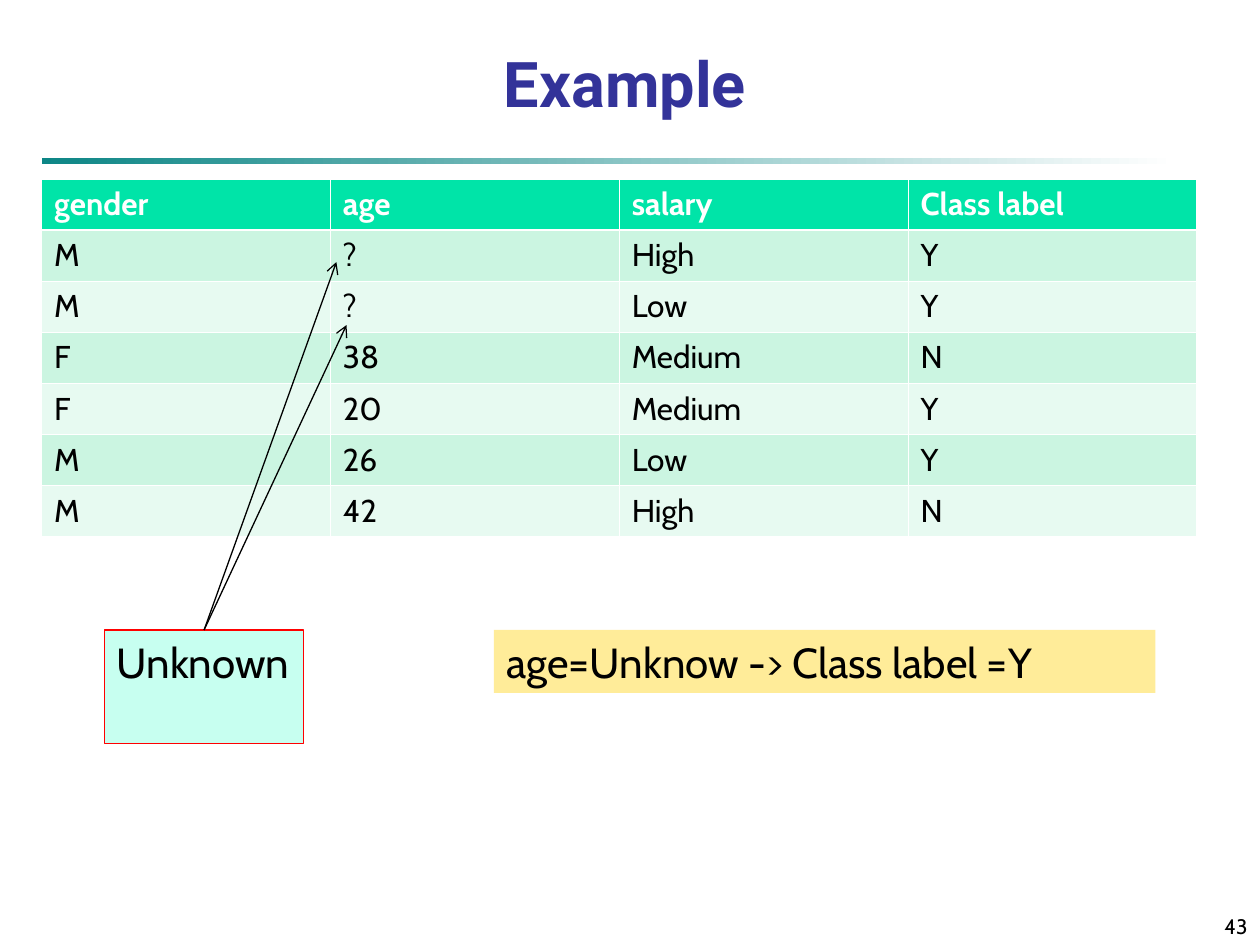
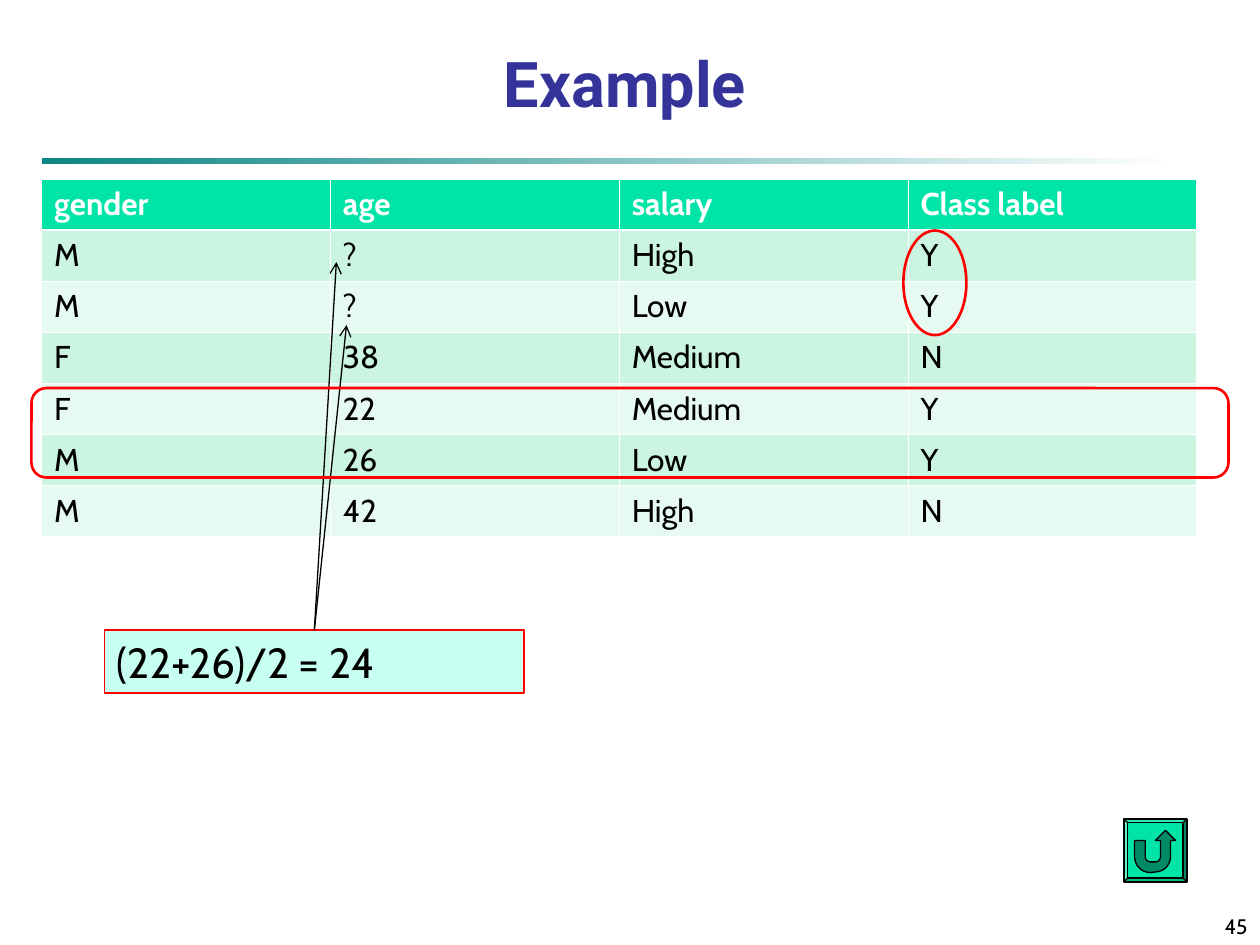
from math import cos, radians, sin

from lxml import etree
from pptx import Presentation
from pptx.dml.color import RGBColor
from pptx.enum.shapes import MSO_CONNECTOR, MSO_SHAPE
from pptx.enum.text import MSO_ANCHOR, PP_ALIGN
from pptx.oxml.ns import qn
from pptx.util import Inches, Pt

RECTANGLE = MSO_SHAPE.RECTANGLE
ROUNDED = MSO_SHAPE.ROUNDED_RECTANGLE
OVAL = MSO_SHAPE.OVAL
BEVEL = MSO_SHAPE.BEVEL
STRAIGHT = MSO_CONNECTOR.STRAIGHT
LEFT, CENTER, RIGHT = PP_ALIGN.LEFT, PP_ALIGN.CENTER, PP_ALIGN.RIGHT
TOP, BOTTOM = MSO_ANCHOR.TOP, MSO_ANCHOR.BOTTOM

COLORS = {
    "title": "333399", "band": "0D8686", "white": "FFFFFF", "black": "000000",
    "header": "00E4A8", "odd_row": "CBF5E1", "even_row": "E7FAF1",
    "note": "C7FFF0", "rule": "FFEC99", "mark": "FF0000", "return_arrow": "008965",
}
BODY_FONT, TITLE_FONT = "Cabin", "Roboto"

TITLE_BOX = (0.17, 0.33, 9.58, 0.67)
BAND_BOX = (0.33, 1.25, 9, 0.05)
TABLE_BOX = (0.33, 1.42, 9.17, 2.84)
NUMBER_BOX = (7.92, 7.08, 2.08, 0.42)
RULE_BOX = (3.92, 5, 5.25, 0.5)
RETURN_BOX = (8.92, 6.5, 0.5, 0.5)
UNKNOWN_AGES = [(2.67, 2.08), (2.75, 2.58)]
HEADINGS = ["gender", "age", "salary", "Class label"]


def color(name):
    return RGBColor.from_string(COLORS[name])


def inches(values):
    return [Inches(value) for value in values]


def write(frame, text, size=24, font=BODY_FONT, ink="black", bold=False,
          align=LEFT, anchor=TOP):
    frame.word_wrap = True
    frame.vertical_anchor = anchor
    paragraph = frame.paragraphs[0]
    paragraph.alignment = align
    run = paragraph.add_run()
    run.text = text
    run.font.size = Pt(size)
    run.font.name = font
    run.font.bold = bold
    run.font.color.rgb = color(ink)


def paint(shape, fill=None, line=None, width=0.75):
    shape.shadow.inherit = False
    if fill:
        shape.fill.solid()
        shape.fill.fore_color.rgb = color(fill)
    else:
        shape.fill.background()
    if line:
        shape.line.color.rgb = color(line)
        shape.line.width = Pt(width)
    else:
        shape.line.fill.background()


def add_box(slide, kind, box, **look):
    shape = slide.shapes.add_shape(kind, *inches(box))
    paint(shape, **look)
    return shape


def add_frame(slide, number):
    band = add_box(slide, RECTANGLE, BAND_BOX)
    band.fill.gradient()
    band.fill.gradient_angle = 0
    for stop, name in zip(band.fill.gradient_stops, ("band", "white")):
        stop.color.rgb = color(name)
    title = slide.shapes.title
    title.left, title.top, title.width, title.height = inches(TITLE_BOX)
    write(title.text_frame, "Example", size=36, font=TITLE_FONT, ink="title",
          bold=True, align=CENTER, anchor=BOTTOM)
    page = slide.shapes.add_textbox(*inches(NUMBER_BOX))
    write(page.text_frame, str(number), size=12, align=RIGHT, anchor=BOTTOM)


def set_borders(cell, row):
    widths = {"lnL": 0.45, "lnR": 0.45, "lnT": 1.47 if row == 1 else 0.45,
              "lnB": 1.47 if row == 0 else 0.45}
    properties = cell._tc.get_or_add_tcPr()
    for position, (side, width) in enumerate(widths.items()):
        border = etree.Element(qn(f"a:{side}"), w=str(Pt(width)))
        fill = etree.SubElement(border, qn("a:solidFill"))
        etree.SubElement(fill, qn("a:srgbClr"), val=COLORS["white"])
        properties.insert(position, border)


def add_people_table(slide, box, fourth_age):
    people = [
        ("M", "?", "High", "Y"),
        ("M", "?", "Low", "Y"),
        ("F", "38", "Medium", "N"),
        ("F", fourth_age, "Medium", "Y"),
        ("M", "26", "Low", "Y"),
        ("M", "42", "High", "N"),
    ]
    rows = [HEADINGS, *people]
    table = slide.shapes.add_table(len(rows), len(HEADINGS), *inches(box)).table
    for r, values in enumerate(rows):
        heading = r == 0
        fill = "header" if heading else "odd_row" if r % 2 else "even_row"
        for c, value in enumerate(values):
            cell = table.cell(r, c)
            cell.fill.solid()
            cell.fill.fore_color.rgb = color(fill)
            set_borders(cell, r)
            write(cell.text_frame, value, size=18, bold=heading,
                  ink="white" if heading else "black")


def add_arrow(slide, start, end):
    arrow = slide.shapes.add_connector(STRAIGHT, *inches(start + end))
    arrow.line.color.rgb = color("black")
    arrow.line.width = Pt(0.75)
    properties = arrow._element.spPr
    etree.SubElement(properties.find(qn("a:ln")), qn("a:tailEnd"), type="arrow")
    etree.SubElement(properties, qn("a:effectLst"))


def add_age_note(slide, box, text):
    left, top, width, _ = box
    note = add_box(slide, RECTANGLE, box, fill="note", line="mark")
    write(note.text_frame, text)
    for target in UNKNOWN_AGES:
        add_arrow(slide, (left + width / 2, top), target)


def arc(x, y, radius, start, end):
    steps = 8
    angles = [radians(start + (end - start) * i / steps) for i in range(steps + 1)]
    return [(x + radius * cos(a), y + radius * sin(a)) for a in angles]


def add_return_button(slide, box):
    left, top, width, height = box
    button = add_box(slide, BEVEL, box, fill="header", line="black")
    button.adjustments[0] = 0.06
    outline = [
        (0.17, 0.34), (0.34, 0.34),
        *arc(0.42, 0.6, 0.08, 180, 90), *arc(0.5, 0.6, 0.08, 90, 0),
        (0.58, 0.34), (0.5, 0.34), (0.66, 0.18), (0.82, 0.34), (0.74, 0.34),
        *arc(0.5, 0.6, 0.24, 0, 90), *arc(0.42, 0.6, 0.25, 90, 180),
    ]
    points = [inches((left + x * width, top + y * height)) for x, y in outline]
    builder = slide.shapes.build_freeform(*points[0])
    builder.add_line_segments(points[1:], close=True)
    paint(builder.convert_to_shape(), fill="return_arrow", line="black")


def add_example(deck, number, fourth_age, note_box, note):
    slide = deck.slides.add_slide(deck.slide_layouts[5])
    add_frame(slide, number)
    add_people_table(slide, TABLE_BOX, fourth_age)
    add_age_note(slide, note_box, note)
    return slide


def add_rule(slide, box):
    rule = add_box(slide, RECTANGLE, box, fill="rule")
    write(rule.text_frame, "age=Unknow -> Class label =Y")


def add_class_marks(slide):
    add_box(slide, OVAL, (7.17, 1.83, 0.5, 0.83), line="mark", width=1.5)
    add_box(slide, ROUNDED, (0.25, 3.08, 9.5, 0.71), line="mark", width=1.5)


def main():
    deck = Presentation()
    deck.slide_width, deck.slide_height = inches((10, 7.5))

    unknown = add_example(deck, 43, "20", (0.83, 5, 1.58, 0.9), "Unknown")
    add_rule(unknown, RULE_BOX)

    average = add_example(deck, 45, "22", (0.83, 5, 3.33, 0.5), "(22+26)/2 = 24")
    add_class_marks(average)
    add_return_button(average, RETURN_BOX)

    deck.save("out.pptx")


if __name__ == "__main__":
    main()
